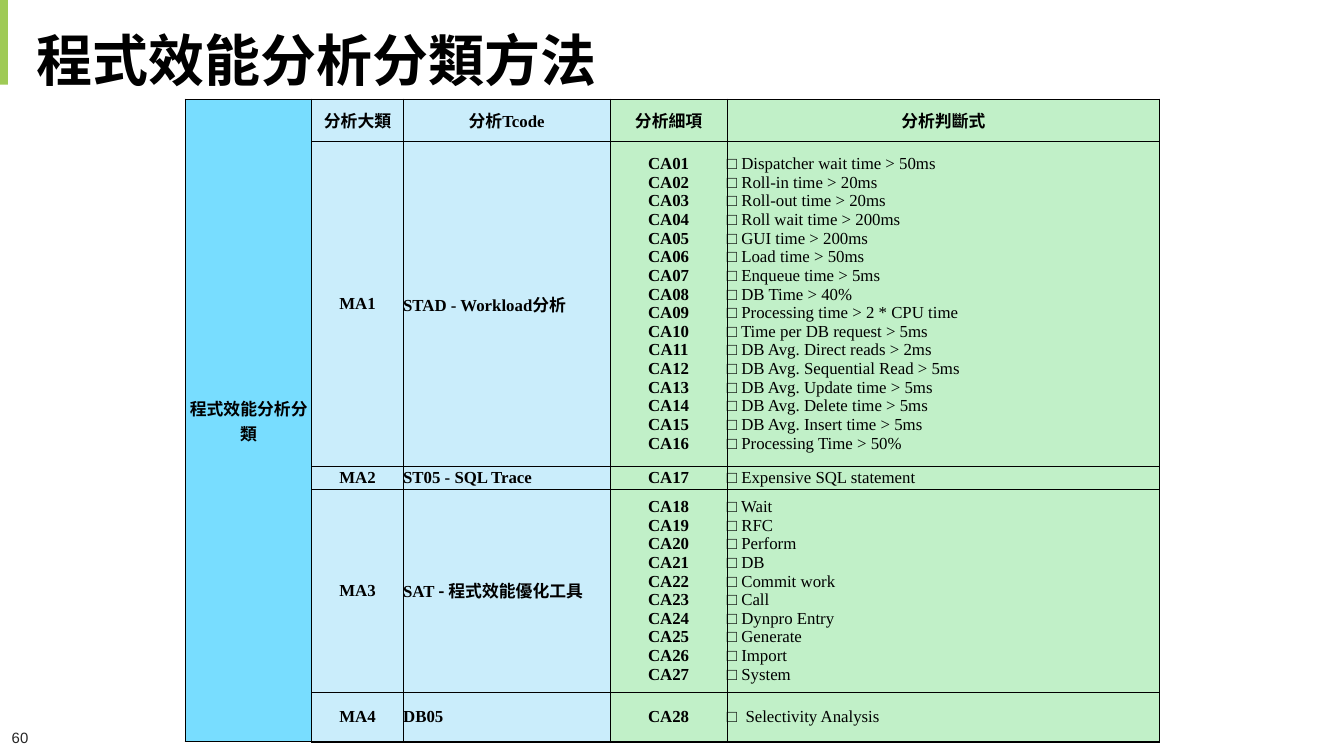
from lxml.etree import SubElement as Sub
from pptx import Presentation
from pptx.dml.color import RGBColor
from pptx.enum.shapes import MSO_SHAPE as Shape
from pptx.enum.text import MSO_ANCHOR as Anchor, PP_ALIGN as Align
from pptx.oxml.ns import qn
from pptx.util import Inches, Pt

BLACK = RGBColor(0x00, 0x00, 0x00)
GRAY = RGBColor(0x26, 0x26, 0x26)
LIME = RGBColor(0x9F, 0xCA, 0x56)
CYAN = RGBColor(0x78, 0xDD, 0xFF)
BLUE = RGBColor(0xCA, 0xED, 0xFB)
GREEN = RGBColor(0xC1, 0xF0, 0xC8)

SERIF, SANS, CJK = "Times New Roman", "Arial", "Noto Sans CJK TC"

WIDE = 10
COLS = [0.94, 0.68, 1.54, 0.87, 3.22]
ROWS = [0.31, 2.42, 0.17, 1.51, 0.37]
FILLS = [CYAN, BLUE, BLUE, GREEN, GREEN]
HEADS = ["分析大類", "分析Tcode", "分析細項", "分析判斷式"]

# Each group: tool name as (text, font) runs, lines per paragraph of
# codes, then paragraphs of checks
GROUPS = [
    ([("STAD - Workload", SERIF), ("分析", CJK)], [16], [
        ["Dispatcher wait time > 50ms", "Roll-in time > 20ms"],
        ["Roll-out time > 20ms", "Roll wait time > 200ms",
         "GUI time > 200ms", "Load time > 50ms", "Enqueue time > 5ms",
         "DB Time > 40%", "Processing time > 2 * CPU time",
         "Time per DB request > 5ms", "DB Avg. Direct reads > 2ms ",
         "DB Avg. Sequential Read > 5ms", "DB Avg. Update time > 5ms",
         "DB Avg. Delete time > 5ms", "DB Avg. Insert time > 5ms"],
        ["Processing Time > 50%"]]),
    ([("ST05 - SQL Trace", SERIF)], [1], [["Expensive SQL statement"]]),
    ([("SAT", SERIF), (" - 程式效能優化工具", CJK)], [1, 8, 1], [
        ["Wait", "RFC"], ["Perform"], ["DB"], ["Commit work"], ["Call"],
        ["Dynpro Entry"], ["Generate"], ["Import"], ["System"]]),
    ([("DB05", SERIF)], [1], [[" Selectivity Analysis"]]),
]


def add_run(para, text, size, face, color=BLACK, bold=False):
    run = para.add_run()
    run.text = text
    font = run.font
    font.size, font.name, font.bold = Pt(size), face, bold
    font.color.rgb = color
    Sub(run._r.get_or_add_rPr(), qn("a:ea"), typeface=CJK)


def add_break(para):
    """Line break at the table's text size."""
    para.add_line_break()
    props = Sub(para._p[-1], qn("a:rPr"), sz="900")
    Sub(props, qn("a:latin"), typeface=SERIF)


def clear_pad(box):
    box.margin_left = box.margin_right = 0
    box.margin_top = box.margin_bottom = 0
    box.vertical_anchor = Anchor.MIDDLE


def fill_cell(cell, paras, align=Align.CENTER, bold=True):
    """Write paragraphs of lines; a line is a list of (text, font) runs."""
    frame = cell.text_frame
    for i, lines in enumerate(paras):
        para = frame.add_paragraph() if i else frame.paragraphs[0]
        para.alignment = align
        for j, line in enumerate(lines):
            if j:
                add_break(para)
            for text, face in line:
                add_run(para, text, 9, face, bold=bold)


def style_cell(cell, row, col):
    """Thin inner borders, thicker outer top, bottom and left."""
    clear_pad(cell)
    thick = {"L": col == 0, "R": False, "T": row == 0,
             "B": row == len(ROWS) - 1}
    props = cell._tc.get_or_add_tcPr()
    for side, heavy in thick.items():
        line = Sub(props, qn(f"a:ln{side}"), w=str(Pt(1 if heavy else 0.5)))
        paint = Sub(line, qn("a:solidFill"))
        Sub(paint, qn("a:srgbClr"), val=str(BLACK))
    cell.fill.solid()
    cell.fill.fore_color.rgb = FILLS[col]


def add_bar(slide, height):
    bar = slide.shapes.add_shape(Shape.RECTANGLE, 0, 0, Inches(0.06),
                                 Inches(height))
    bar.shadow.inherit = False
    bar.fill.solid()
    bar.fill.fore_color.rgb = LIME
    bar.line.fill.background()


def add_title(slide, text):
    title = slide.shapes.title
    title.left, title.top = Inches(0.27), Inches(0.21)
    title.width, title.height = Inches(9.45), Inches(0.53)
    frame = title.text_frame
    clear_pad(frame)
    para = frame.paragraphs[0]
    para.alignment, para.line_spacing = Align.LEFT, 0.9
    add_run(para, text, 30, SANS, bold=True)


def add_number(slide, text):
    box = slide.shapes.add_textbox(Inches(-0.25), Inches(5.34),
                                   Inches(0.56), Inches(0.3))
    frame = box.text_frame
    frame.word_wrap = True
    frame.vertical_anchor = Anchor.MIDDLE
    para = frame.paragraphs[0]
    para.alignment = Align.RIGHT
    add_run(para, text, 8, SANS, GRAY)


def add_grid(slide):
    grid = slide.shapes.add_table(
        len(ROWS), len(COLS), Inches(1.38), Inches(0.74),
        Inches(sum(COLS)), Inches(sum(ROWS))).table
    for col, width in zip(grid.columns, COLS):
        col.width = Inches(width)
    for row, height in zip(grid.rows, ROWS):
        row.height = Inches(height)
    for r in range(len(ROWS)):
        for c in range(len(COLS)):
            style_cell(grid.cell(r, c), r, c)

    # Side label and header row
    side = grid.cell(0, 0)
    side.merge(grid.cell(len(ROWS) - 1, 0))
    fill_cell(side, [[[("程式效能分析分類", CJK)]]])
    for c, head in enumerate(HEADS, 1):
        fill_cell(grid.cell(0, c), [[[(head, SERIF)]]])

    # Groups, with check codes numbered straight through
    code = 1
    for r, (tool, sizes, checks) in enumerate(GROUPS, 1):
        codes = []
        for size in sizes:
            codes.append([[(f"CA{n:02}", SERIF)]
                          for n in range(code, code + size)])
            code += size
        marks = [[[("□ ", SERIF), (check, SERIF)] for check in part]
                 for part in checks]
        fill_cell(grid.cell(r, 1), [[[(f"MA{r}", SERIF)]]])
        fill_cell(grid.cell(r, 2), [[tool]], Align.LEFT)
        fill_cell(grid.cell(r, 3), codes)
        fill_cell(grid.cell(r, 4), marks, Align.LEFT, False)


def main():
    deck = Presentation()
    deck.slide_width = Inches(WIDE)
    deck.slide_height = Inches(WIDE * 9 / 16)
    slide = deck.slides.add_slide(deck.slide_layouts[5])
    for height in (0.47, 0.63):
        add_bar(slide, height)
    add_title(slide, "程式效能分析分類方法")
    add_number(slide, "60")
    add_grid(slide)
    deck.save("out.pptx")


if __name__ == "__main__":
    main()
